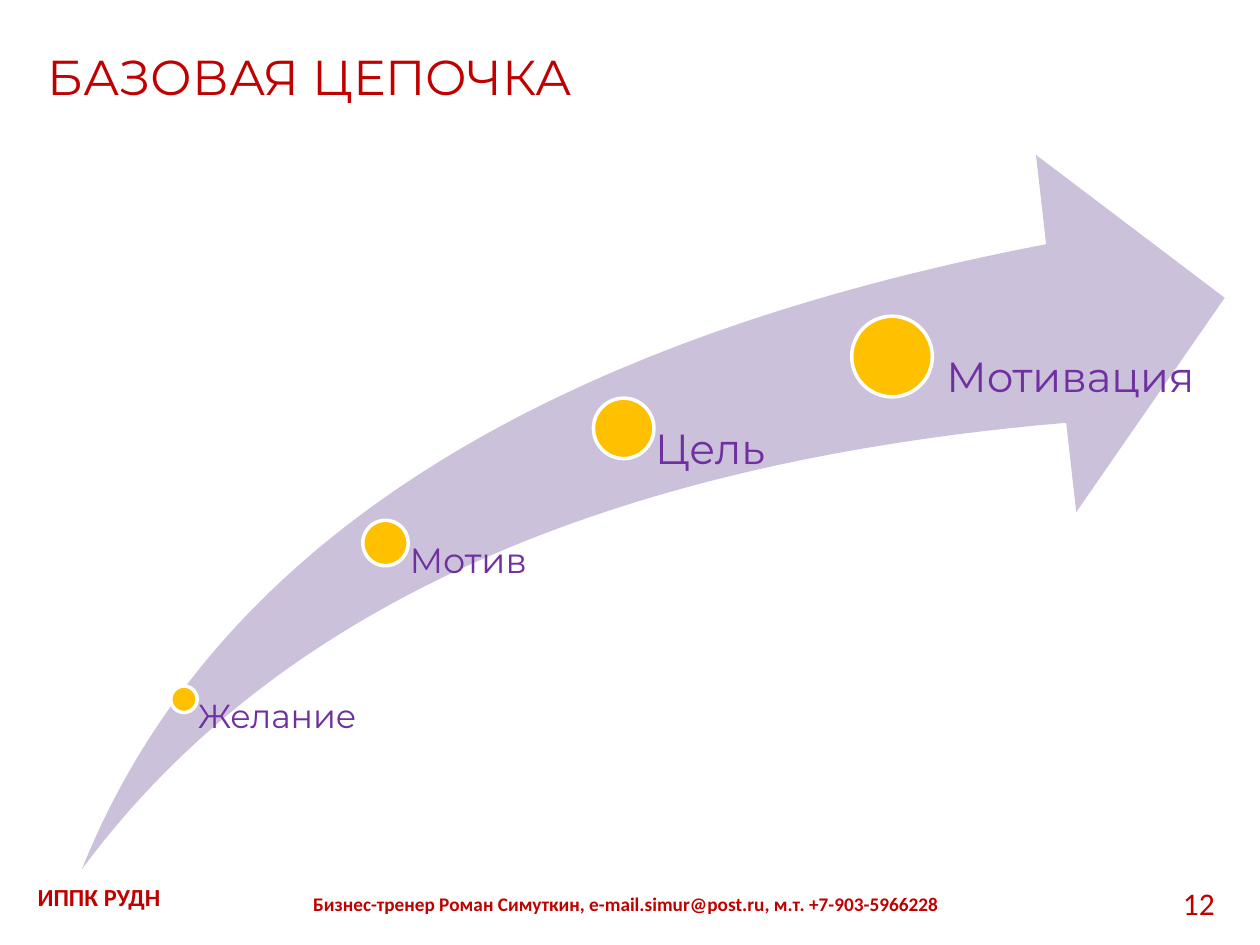
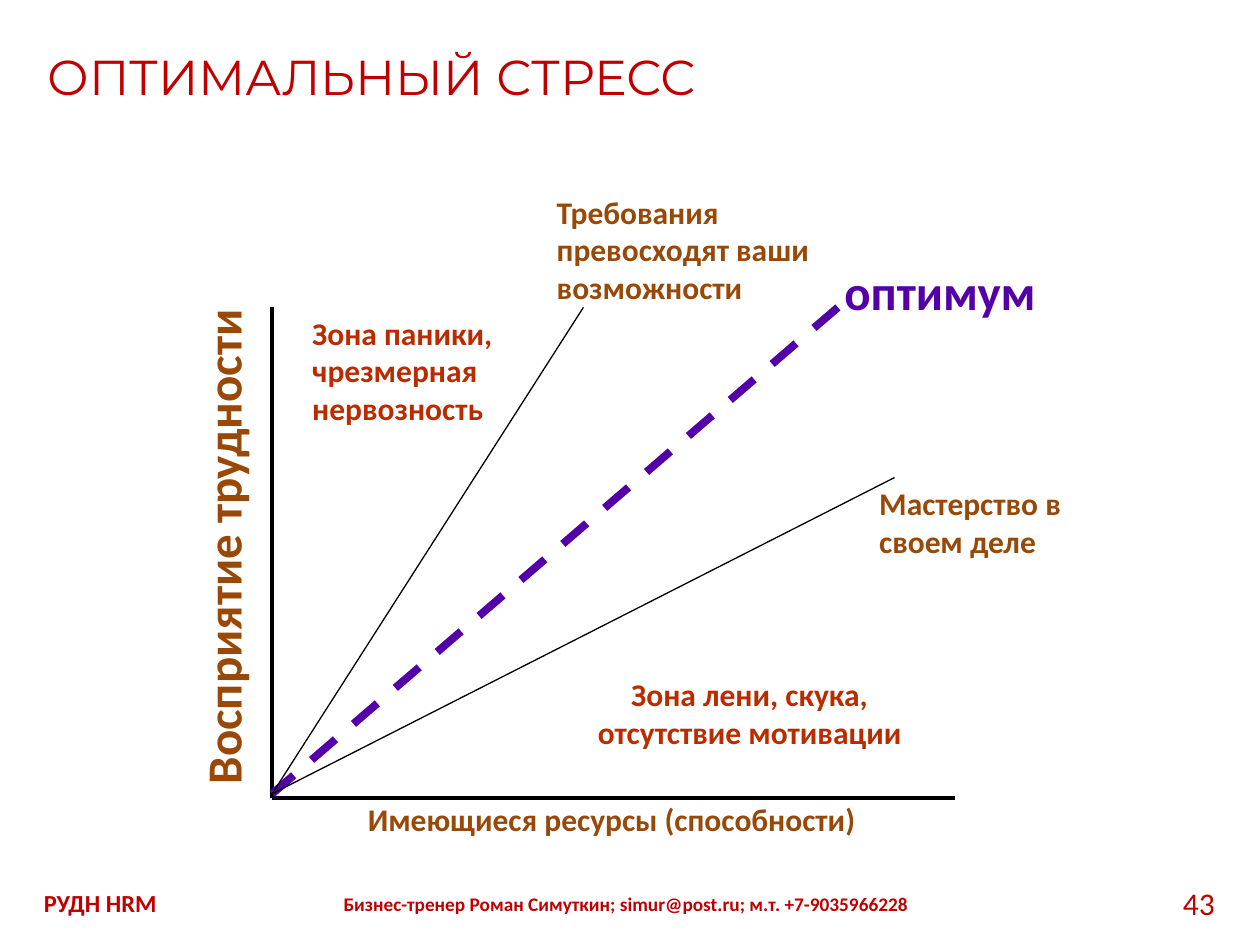
from collections import namedtuple

from lxml.etree import SubElement
from pptx import Presentation
from pptx.dml.color import RGBColor
from pptx.enum.dml import MSO_LINE
from pptx.enum.shapes import MSO_CONNECTOR, MSO_SHAPE
from pptx.enum.text import MSO_ANCHOR, PP_ALIGN
from pptx.oxml.ns import qn
from pptx.util import Emu, Pt

PX = 9144  # 100 px to the inch

RED = RGBColor(0xC0, 0x00, 0x00)
LILAC = RGBColor(0xCC, 0xC1, 0xDA)
GOLD = RGBColor(0xFF, 0xC0, 0x00)
PURPLE = RGBColor(0x70, 0x30, 0xA0)
VIOLET = RGBColor(0x54, 0x00, 0xA8)
BROWN = RGBColor(0x98, 0x48, 0x07)
RUST = RGBColor(0xBA, 0x2C, 0x00)
BLACK = RGBColor(0x00, 0x00, 0x00)
WHITE = RGBColor(0xFF, 0xFF, 0xFF)

HEADING_FONT = "Montserrat"
BODY_FONT = "Calibri"

Box = namedtuple("Box", "left top width height")
Style = namedtuple("Style", "size color font bold", defaults=(BODY_FONT, True))
Milestone = namedtuple("Milestone", "name center_x center_y diameter width height inset size align")

TITLE_STYLE = Style(28, RED, HEADING_FONT, False)
OWNER_STYLE = Style(14, RED)
CONTACT_STYLE = Style(11, RED)
NUMBER_STYLE = Style(18, RED, bold=False)

LEFT, CENTER, RIGHT = PP_ALIGN.LEFT, PP_ALIGN.CENTER, PP_ALIGN.RIGHT

TITLE_BOX = Box(28, 21, 945, 79)
CONTACT_BOX = Box(154, 703, 686, 31)
NUMBER_BOX = Box(886, 697, 88, 40)

MILESTONES = [
    Milestone("Желание", 81, 432, 21, 155, 135, 11, 19, LEFT),
    Milestone("Мотив", 241, 308, 36, 191, 55, 19, 20, LEFT),
    Milestone("Цель", 430, 217, 48, 191, 350, 25, 24, LEFT),
    Milestone("Мотивация", 643, 160, 64, 240, 92, 34, 24, RIGHT),
]


def px(length):
    return Emu(round(length * PX))


def inside(region, left, top, width, height):
    """Turn a box measured from the corner of a region into a slide box."""
    return Box(region.left + left, region.top + top, width, height)


def add_text(slide, box, text, style, align=LEFT):
    shape = slide.shapes.add_textbox(*map(px, box))
    shape.text_frame.word_wrap = True
    paragraph = shape.text_frame.paragraphs[0]
    paragraph.text = text
    paragraph.alignment = align
    font = paragraph.font
    font.name, font.size, font.bold = style.font, Pt(style.size), style.bold
    font.color.rgb = style.color
    return shape


def add_filled_shape(slide, kind, box, fill):
    shape = slide.shapes.add_shape(kind, *map(px, box))
    shape.shadow.inherit = False
    shape.fill.solid()
    shape.fill.fore_color.rgb = fill
    shape.line.fill.background()
    return shape


def add_line(slide, region, start, end, color, width, dash=None):
    """Draw a straight line between two points measured from the region."""
    points = [px(corner + offset)
              for point in (start, end)
              for corner, offset in zip(region[:2], point)]
    connector = slide.shapes.add_connector(MSO_CONNECTOR.STRAIGHT, *points)
    connector.line.color.rgb = color
    connector.line.width = Pt(width)
    if dash:
        connector.line.dash_style = dash
    SubElement(connector._element.spPr, qn("a:effectLst"))


def add_page(presentation, title, owner, owner_box, contact, number):
    """Add a slide with its title and footer."""
    slide = presentation.slides.add_slide(presentation.slide_layouts[6])
    heading = add_text(slide, TITLE_BOX, title, TITLE_STYLE)
    heading.text_frame.vertical_anchor = MSO_ANCHOR.MIDDLE
    add_text(slide, owner_box, owner, OWNER_STYLE)
    add_text(slide, CONTACT_BOX, contact, CONTACT_STYLE, CENTER)
    add_text(slide, NUMBER_BOX, number, NUMBER_STYLE, RIGHT)
    return slide


def add_milestone(slide, region, milestone):
    """Add a dot and the label that starts at the centre of the dot."""
    center_x, center_y, diameter = milestone.center_x, milestone.center_y, milestone.diameter
    dot_box = inside(region, center_x - diameter / 2, center_y - diameter / 2, diameter, diameter)
    dot = add_filled_shape(slide, MSO_SHAPE.OVAL, dot_box, GOLD)
    dot.line.color.rgb = WHITE
    dot.line.width = Pt(2)

    label = add_text(slide, inside(region, center_x, center_y, milestone.width, milestone.height),
                     milestone.name, Style(milestone.size, PURPLE, HEADING_FONT, False),
                     milestone.align)
    frame = label.text_frame
    frame.margin_left = px(milestone.inset)
    frame.margin_top = frame.margin_right = frame.margin_bottom = 0
    frame.paragraphs[0].line_spacing = 0.9


def add_motivation_arrow(slide, region):
    arrow = add_filled_shape(slide, MSO_SHAPE.SWOOSH_ARROW, region, LILAC)
    arrow.adjustments[0] = arrow.adjustments[1] = 0.25
    for milestone in MILESTONES:
        add_milestone(slide, region, milestone)


def add_stress_diagram(slide, region):
    corner = (0, region.height)
    add_line(slide, region, (0, 0), corner, BLACK, 2.25)
    add_line(slide, region, corner, (region.width, region.height), BLACK, 2.25)

    origin = (0, region.height - 3)
    add_line(slide, region, (449, 0), origin, VIOLET, 4.5, MSO_LINE.DASH)
    for ray_end in [(247, 0), (494, 135)]:
        add_line(slide, region, ray_end, origin, BLACK, 0.75)

    axis_label = add_text(slide, inside(region, -247, 154, 430, 72),
                          "Восприятие трудности", Style(28, BROWN), CENTER)
    axis_label.rotation = 270

    labels = [
        ("Имеющиеся ресурсы (способности)", (0, 386, 539, 58), 18, BROWN, CENTER),
        ("Зона паники, чрезмерная нервозность", (22, 0, 180, 107), 18, RUST, LEFT),
        ("Зона лени, скука, отсутствие мотивации", (229, 287, 300, 73), 18, RUST, CENTER),
        ("Требования превосходят ваши возможности", (216, -96, 225, 94), 18, BROWN, LEFT),
        ("Мастерство в своем деле", (472, 135, 180, 66), 18, BROWN, LEFT),
        ("оптимум", (440, -41, 180, 66), 28, VIOLET, CENTER),
    ]
    for text, box, size, color, align in labels:
        add_text(slide, inside(region, *box), text, Style(size, color), align)


def main():
    presentation = Presentation()
    presentation.slide_width, presentation.slide_height = px(1000), px(750)

    chain = add_page(presentation, "БАЗОВАЯ ЦЕПОЧКА", "ИППК РУДН", Box(20, 695, 134, 40),
                     "Бизнес-тренер Роман Симуткин, e-mail.simur@post.ru, м.т. +7-903-5966228",
                     "12")
    add_motivation_arrow(chain, Box(65, 123, 907, 567))

    stress = add_page(presentation, "ОПТИМАЛЬНЫЙ СТРЕСС", "РУДН HRM", Box(25, 700, 173, 35),
                      "Бизнес-тренер Роман Симуткин; simur@post.ru; м.т. +7-9035966228",
                      "43")
    add_stress_diagram(stress, Box(216, 244, 542, 389))

    presentation.save("out.pptx")


if __name__ == "__main__":
    main()
